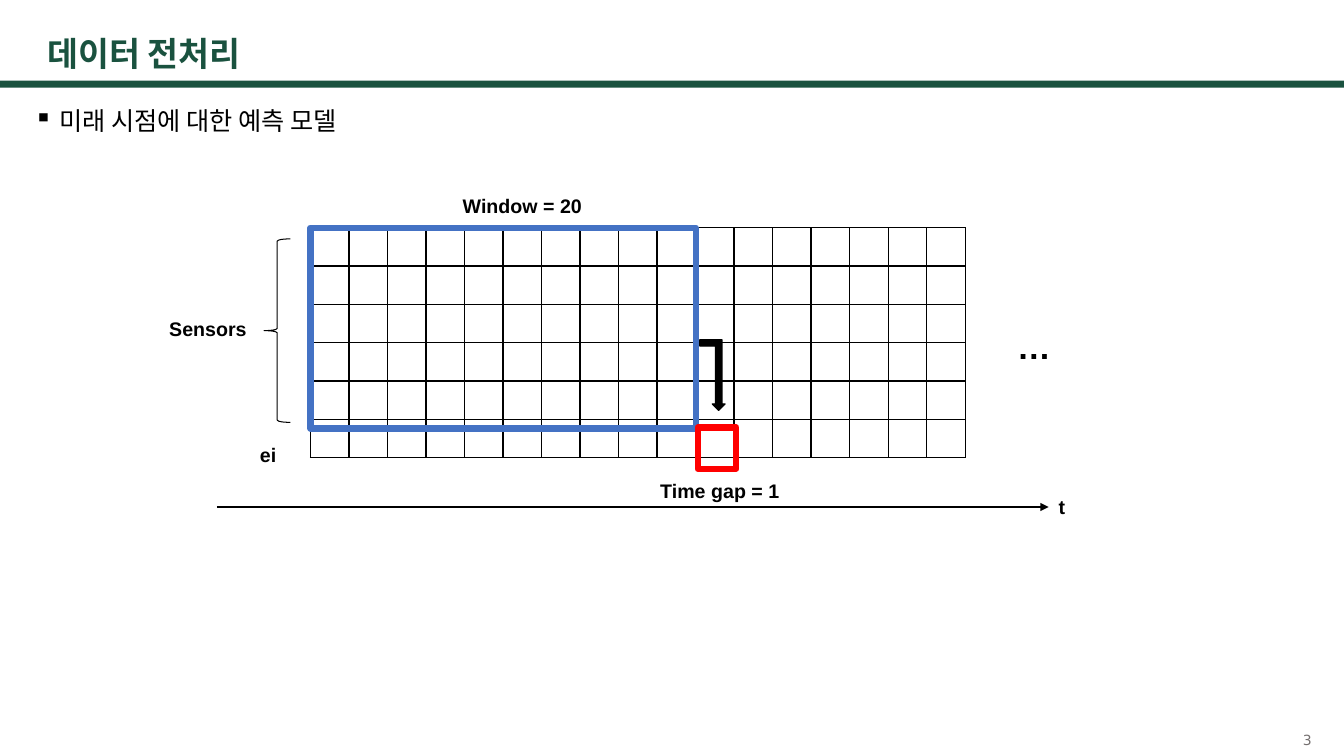
from lxml import etree
from pptx import Presentation
from pptx.dml.color import RGBColor
from pptx.enum.shapes import MSO_CONNECTOR, MSO_SHAPE
from pptx.enum.text import MSO_ANCHOR, PP_ALIGN
from pptx.oxml.ns import qn
from pptx.util import Inches, Pt

W, H = 13.33, 7.5
GREEN, BLACK, WHITE, GREY = "1A523F", "000000", "FFFFFF", "757070"
BLUE, RED = "4472C4", "FF0000"
HEAD_FONT, LABEL_FONT = "DejaVu Sans", "Arial"
TOP, MIDDLE = MSO_ANCHOR.TOP, MSO_ANCHOR.MIDDLE
LEFT, RIGHT = PP_ALIGN.LEFT, PP_ALIGN.RIGHT
RECT, BRACE, BENT_ARROW = MSO_SHAPE.RECTANGLE, MSO_SHAPE.LEFT_BRACE, MSO_SHAPE.BENT_UP_ARROW

TITLE = "데이터 전처리"
BULLET = "미래 시점에 대한 예측 모델"
PAGE = "3"

# Sensor grid: time steps across, sensors and ei down
COLS, ROWS = 17, 6
GRID_X, GRID_Y = 3.08, 2.26
CELL_W, CELL_H = 0.382, 0.38
WINDOW_COLS = 10
AXIS_X, AXIS_Y, AXIS_W = 2.15, 5.03, 8.25

# text, left, top, width, height, size
LABELS = [
    ("…", 9.99, 3.18, 1.05, 0.5, 24),
    ("t", AXIS_X + AXIS_W, 4.86, 0.78, 0.34, 14),
    ("ei", 2.48, 4.34, 0.78, 0.34, 14),
    ("Sensors", 1.58, 3.09, 1.3, 0.34, 14),
    ("Window = 20", 4.49, 1.87, 1.68, 0.34, 14),
    ("Time gap = 1", 6.45, 4.7, 2.7, 0.34, 14),
]


def rgb(color):
    return RGBColor.from_string(color)


def box(*lengths):
    return [Inches(v) for v in lengths]


def add_text(text, at, size, font, color=BLACK, bold=False, anchor=TOP, align=LEFT):
    tf = slide.shapes.add_textbox(*box(*at)).text_frame
    tf.word_wrap = True
    tf.vertical_anchor = anchor
    p = tf.paragraphs[0]
    p.text = text
    p.alignment = align
    p.font.size, p.font.name, p.font.bold = Pt(size), font, bold
    p.font.color.rgb = rgb(color)
    return p


def add_figure(kind, at, fill=None, line=None, width=0.75):
    s = slide.shapes.add_shape(kind, *box(*at))
    s.shadow.inherit = False
    if fill:
        s.fill.solid()
        s.fill.fore_color.rgb = rgb(fill)
    else:
        s.fill.background()
    if line:
        s.line.color.rgb = rgb(line)
        s.line.width = Pt(width)
    else:
        s.line.fill.background()
    return s


def add_bullet(p, mark):
    pPr = p._p.get_or_add_pPr()
    pPr.set("marL", str(Inches(0.25)))
    pPr.set("indent", str(-Inches(0.25)))
    bullet = etree.Element(qn("a:buChar"), char=mark)
    pPr.find(qn("a:defRPr")).addprevious(bullet)


def add_borders(cell, color, width):
    tcPr = cell._tc.get_or_add_tcPr()
    for i, side in enumerate(("lnL", "lnR", "lnT", "lnB")):
        ln = etree.Element(qn(f"a:{side}"), w=str(Pt(width)))
        fill = etree.SubElement(ln, qn("a:solidFill"))
        etree.SubElement(fill, qn("a:srgbClr"), val=color)
        tcPr.insert(i, ln)


def add_grid():
    at = box(GRID_X, GRID_Y, COLS * CELL_W, ROWS * CELL_H)
    table = slide.shapes.add_table(ROWS, COLS, *at).table
    table.first_row = table.horz_banding = False
    for column in table.columns:
        column.width = Inches(CELL_W)
    for row in table.rows:
        row.height = Inches(CELL_H)
    for cell in table.iter_cells():
        cell.margin_left = cell.margin_right = cell.margin_top = cell.margin_bottom = 0
        cell.fill.solid()
        cell.fill.fore_color.rgb = rgb(WHITE)
        add_borders(cell, BLACK, 1)


def add_time_axis():
    ends = box(AXIS_X, AXIS_Y, AXIS_X + AXIS_W, AXIS_Y)
    axis = slide.shapes.add_connector(MSO_CONNECTOR.STRAIGHT, *ends)
    axis.line.color.rgb = rgb(BLACK)
    axis.line.width = Pt(0.75)
    etree.SubElement(axis.line._get_or_add_ln(), qn("a:tailEnd"), type="triangle")
    etree.SubElement(axis._element.spPr, qn("a:effectLst"))


prs = Presentation()
prs.slide_width, prs.slide_height = box(W, H)
slide = prs.slides.add_slide(prs.slide_layouts[6])

add_figure(RECT, (0, 0.8, W, 0.07), fill=GREEN)
p = add_text(BULLET, (0.24, 0.94, 12.86, 6.2), 18, HEAD_FONT)
p.line_spacing = 1.2
add_bullet(p, "▪")
p = add_text(TITLE, (0.37, 0.29, 12.6, 0.52), 24, HEAD_FONT, GREEN, True, MIDDLE)
p.line_spacing = 0.9
add_text(PAGE, (10.11, 7.24, 3, 0.2), 10, HEAD_FONT, GREY, anchor=MIDDLE, align=RIGHT)

add_grid()
add_time_axis()
for text, x, y, w, h, size in LABELS:
    add_text(text, (x, y, w, h), size, LABEL_FONT, bold=True)

add_figure(BRACE, (2.62, 2.37, 0.26, 1.82), line=BLACK)
add_figure(RECT, (GRID_X, GRID_Y, WINDOW_COLS * CELL_W, 1.99), line=BLUE, width=4.5)
add_figure(RECT, (6.92, 4.24, CELL_W, 0.41), line=RED, width=4.5)
arrow = add_figure(BENT_ARROW, (6.94, 3.37, 0.25, 0.7), fill=BLACK, line=BLACK, width=1)
arrow.rotation = 180
arrow._element.spPr.find(qn("a:xfrm")).set("flipH", "1")

prs.save("out.pptx")
